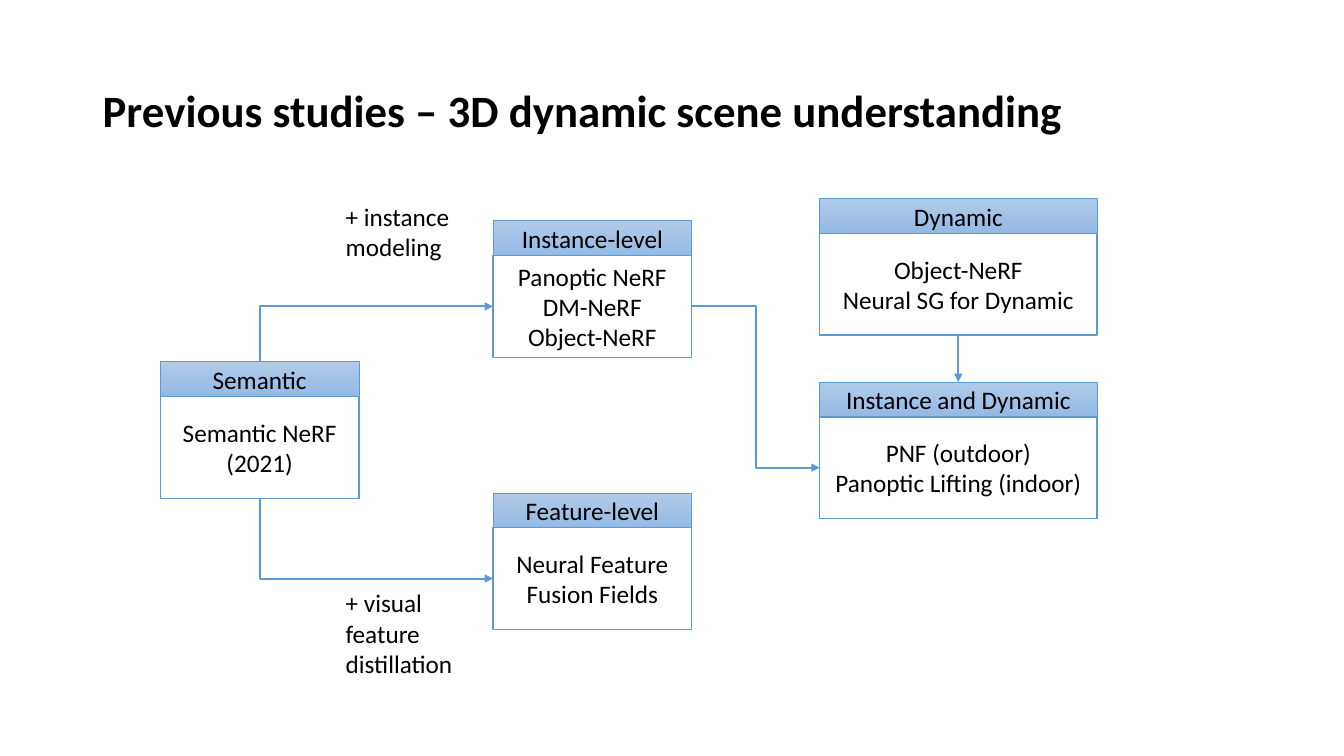
from lxml.etree import SubElement
from pptx import Presentation
from pptx.dml.color import RGBColor
from pptx.enum.shapes import MSO_CONNECTOR, MSO_SHAPE
from pptx.enum.text import MSO_ANCHOR, PP_ALIGN
from pptx.oxml.ns import qn
from pptx.util import Inches, Pt

BLACK = RGBColor(0x00, 0x00, 0x00)
WHITE = RGBColor(0xFF, 0xFF, 0xFF)
BLUE = RGBColor(0x5B, 0x9B, 0xD5)
HEADER_TOP = RGBColor(0xB1, 0xCB, 0xE9)
HEADER_BOTTOM = RGBColor(0x93, 0xB9, 0xE4)

HEADER_H = 0.345
BODY_H = 1.01
NARROW, WIDE = 1.97, 2.75
LEFT_X, MID_X, RIGHT_X = 1.59, 4.89, 8.13


def write(tf, text, size=18, bold=False, align=PP_ALIGN.LEFT,
          anchor=MSO_ANCHOR.TOP, spacing=None):
    tf.word_wrap = True
    tf.vertical_anchor = anchor
    for i, line in enumerate(text.split("\n")):
        p = tf.paragraphs[0] if i == 0 else tf.add_paragraph()
        p.alignment = align
        p.line_spacing = spacing
        r = p.add_run()
        r.text = line
        r.font.name = "Calibri"
        r.font.size = Pt(size)
        r.font.bold = bold
        r.font.color.rgb = BLACK


def add_label(s, x, y, w, h, text, **fmt):
    tb = s.shapes.add_textbox(Inches(x), Inches(y), Inches(w), Inches(h))
    write(tb.text_frame, text, **fmt)


def add_box(s, x, y, w, h, text, line_width):
    sp = s.shapes.add_shape(MSO_SHAPE.RECTANGLE, Inches(x), Inches(y), Inches(w), Inches(h))
    sp.shadow.inherit = False
    sp.line.color.rgb = BLUE
    sp.line.width = Pt(line_width)
    write(sp.text_frame, text, align=PP_ALIGN.CENTER, anchor=MSO_ANCHOR.MIDDLE)
    return sp


def add_card(s, x, y, w, heading, body):
    header = add_box(s, x, y, w, HEADER_H, heading, 0.5)
    header.fill.gradient()
    header.fill.gradient_angle = 270
    for stop, color in zip(header.fill.gradient_stops, (HEADER_TOP, HEADER_BOTTOM)):
        stop.color.rgb = color
    content = add_box(s, x, y + HEADER_H, w, BODY_H, body, 1)
    content.fill.solid()
    content.fill.fore_color.rgb = WHITE


def add_arrow(s, x1, y1, x2, y2, bend=None):
    kind = MSO_CONNECTOR.STRAIGHT if bend is None else MSO_CONNECTOR.ELBOW
    c = s.shapes.add_connector(kind, Inches(x1), Inches(y1), Inches(x2), Inches(y2))
    c.line.color.rgb = BLUE
    c.line.width = Pt(1.5)
    spPr = c._element.spPr
    SubElement(spPr.find(qn("a:ln")), qn("a:tailEnd"), type="triangle")
    SubElement(spPr, qn("a:effectLst"))
    if bend is not None:
        guides = spPr.find(qn("a:prstGeom")).find(qn("a:avLst"))
        SubElement(guides, qn("a:gd"), name="adj1", fmla=f"val {bend}")


def main():
    prs = Presentation()
    prs.slide_width, prs.slide_height = Inches(13.33), Inches(7.5)
    s = prs.slides.add_slide(prs.slide_layouts[6])

    add_label(s, 0.92, 0.4, 11.5, 1.45, "Previous studies – 3D dynamic scene understanding",
              size=32, bold=True, anchor=MSO_ANCHOR.MIDDLE, spacing=0.9)

    cards = [
        (LEFT_X, 3.59, NARROW, "Semantic", "Semantic NeRF\n(2021)"),
        (MID_X, 2.19, NARROW, "Instance-level", "Panoptic NeRF\nDM-NeRF\nObject-NeRF"),
        (MID_X, 4.89, NARROW, "Feature-level", "Neural Feature Fusion Fields"),
        (RIGHT_X, 1.97, WIDE, "Dynamic", "Object-NeRF\nNeural SG for Dynamic"),
        (RIGHT_X, 3.79, WIDE, "Instance and Dynamic",
         "PNF (outdoor)\nPanoptic Lifting (indoor)"),
    ]
    for card in cards:
        add_card(s, *card)

    add_label(s, 3.33, 1.95, 1.28, 0.71, "+ instance modeling")
    add_label(s, 3.33, 5.78, 1.28, 1.01, "+ visual feature distillation")

    semantic_x = LEFT_X + NARROW / 2
    dynamic_x = RIGHT_X + WIDE / 2
    add_arrow(s, semantic_x, 3.59, MID_X, 3.04, bend=0)
    add_arrow(s, semantic_x, 4.94, MID_X, 5.74, bend=0)
    add_arrow(s, dynamic_x, 3.33, dynamic_x, 3.79)
    add_arrow(s, MID_X + NARROW, 3.04, RIGHT_X, 4.64, bend=50000)

    prs.save("out.pptx")


if __name__ == "__main__":
    main()
